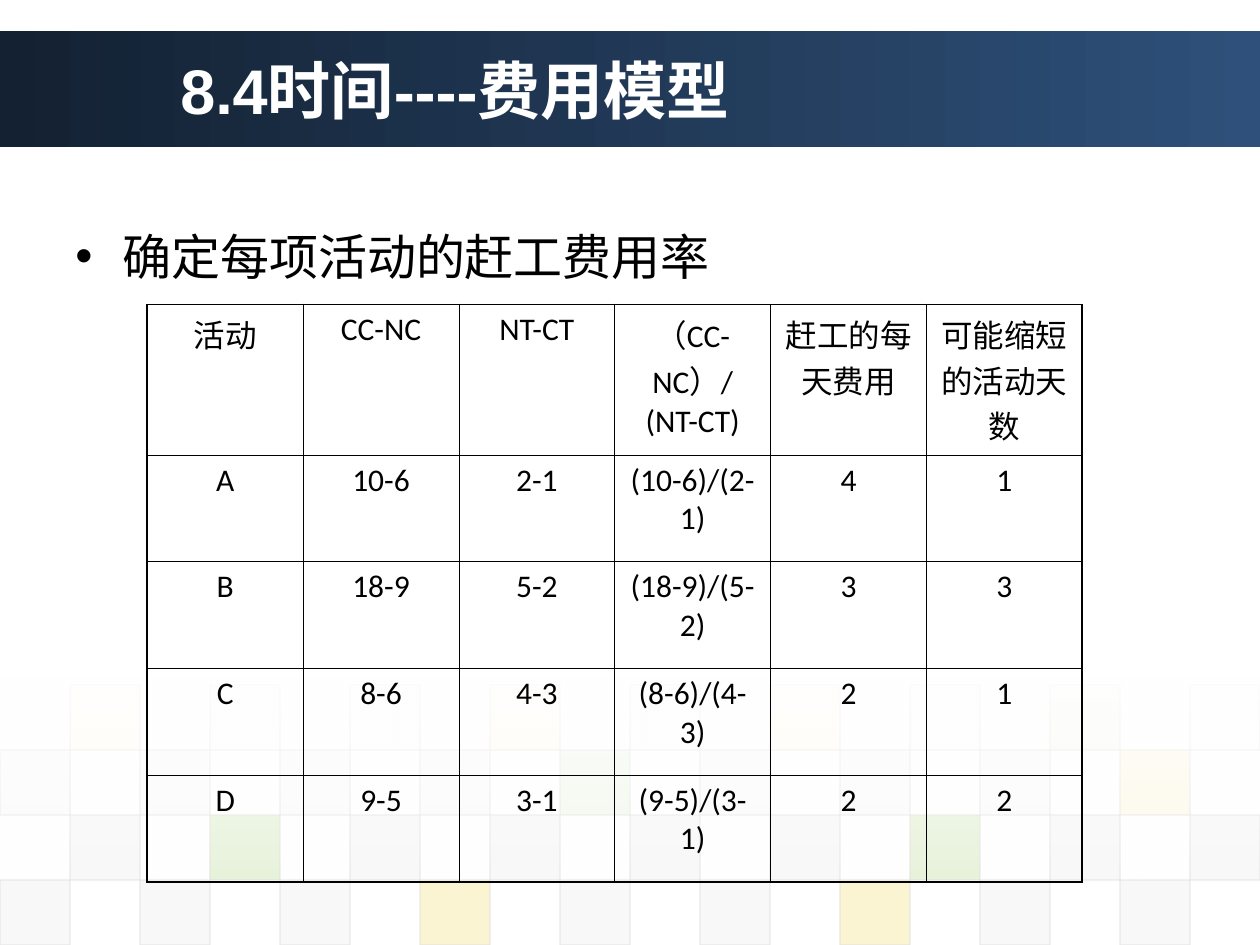
from dataclasses import dataclass

import lxml.etree
import pptx
import pptx.dml.color
import pptx.enum.shapes
import pptx.enum.text
import pptx.oxml.ns
import pptx.util

Cm = pptx.util.Cm
ALIGN = pptx.enum.text.PP_ALIGN
ANCHOR = pptx.enum.text.MSO_ANCHOR


@dataclass(frozen=True)
class Theme:
    band_start: str = "132132"
    band_end: str = "2E507A"
    white: str = "FFFFFF"
    black: str = "000000"
    gray: str = "DDDDDD"
    pale: str = "EAEAEA"
    green: str = "8AC246"
    yellow: str = "EFC821"
    title_font: str = "Arial"
    body_font: str = "Calibri"
    title_size: int = 36
    body_size: int = 28
    cell_size: int = 18
    tile_line: float = 0.75
    inner_line: float = 0.45
    outer_line: float = 1.08


THEME = Theme()

# One letter per tile; rows alternate between odd and even columns.
TILE_COLORS = {"D": THEME.gray, "E": THEME.pale, "G": THEME.green, "Y": THEME.yellow}
TILE_ROWS = [("YEEYDYEGE", 5), ("DDDDGDDDY", 10), ("DGDDDDGDD", 20), ("DDDYDDYDD", 20)]

COST_ROWS = [
    ["活动", "CC-NC", "NT-CT", "（CC-NC）/(NT-CT)", "赶工的每天费用", "可能缩短的活动天数"],
    ["A", "10-6", "2-1", "(10-6)/(2-1)", "4", "1"],
    ["B", "18-9", "5-2", "(18-9)/(5-2)", "3", "3"],
    ["C", "8-6", "4-3", "(8-6)/(4-3)", "2", "1"],
    ["D", "9-5", "3-1", "(9-5)/(3-1)", "2", "2"],
]


def rgb(color):
    return pptx.dml.color.RGBColor.from_string(color)


def add_element(parent, tag, **attributes):
    element = lxml.etree.SubElement(parent, pptx.oxml.ns.qn(tag))
    for name, value in attributes.items():
        element.set(name, str(value))
    return element


def set_opacity(element, percents):
    """Give each colour below element its opacity, in order."""
    colors = element.findall(".//" + pptx.oxml.ns.qn("a:srgbClr"))
    for color, percent in zip(colors, percents):
        add_element(color, "a:alpha", val=percent * 1000)


def write_text(frame, text, *, size, font=THEME.body_font, color=THEME.black,
               bold=False, align=ALIGN.LEFT, bullet=None, indent=0):
    frame.word_wrap = True
    paragraph = frame.paragraphs[0]
    paragraph.alignment = align
    if bullet:
        properties = paragraph._p.get_or_add_pPr()
        properties.set("marL", str(Cm(indent)))
        properties.set("indent", str(-Cm(indent)))
        add_element(add_element(properties, "a:buClr"), "a:srgbClr", val=color)
        add_element(properties, "a:buFont", typeface=THEME.title_font)
        add_element(properties, "a:buChar", char=bullet)
    run = paragraph.add_run()
    run.text = text
    run.font.size = pptx.util.Pt(size)
    run.font.name = font
    run.font.bold = bold
    run.font.color.rgb = rgb(color)


def add_rectangle(slide, left, top, width, height):
    shape = slide.shapes.add_shape(pptx.enum.shapes.MSO_SHAPE.RECTANGLE,
                                   Cm(left), Cm(top), Cm(width), Cm(height))
    shape.shadow.inherit = False
    shape.line.fill.background()
    return shape


def fill_gradient(shape, start, end, angle):
    shape.fill.gradient()
    shape.fill.gradient_angle = angle
    for stop, color in zip(shape.fill.gradient_stops, (start, end)):
        stop.color.rgb = rgb(color)


def add_mosaic(slide, left, top, width, height):
    """Checkerboard of pale tiles that fades out towards its top."""
    tile_width, tile_height = width / 18, height / len(TILE_ROWS)
    for row, (letters, opacity) in enumerate(TILE_ROWS):
        for index, letter in enumerate(letters):
            column = 2 * index + (row + 1) % 2
            tile = add_rectangle(slide, left + column * tile_width, top + row * tile_height,
                                 tile_width, tile_height)
            tile.fill.solid()
            tile.fill.fore_color.rgb = rgb(TILE_COLORS[letter])
            tile.line.color.rgb = rgb(THEME.gray)
            tile.line.width = pptx.util.Pt(THEME.tile_line)
            set_opacity(tile._element.spPr, [opacity, 60])
    veil = add_rectangle(slide, left, top - 0.17, width, 4.11)
    fill_gradient(veil, THEME.white, THEME.white, 270)
    set_opacity(veil._element.spPr, [90, 0])


def add_title_band(slide, left, top, width, height):
    band = add_rectangle(slide, left, top, width, height)
    fill_gradient(band, THEME.band_start, THEME.band_end, 0)
    title = slide.shapes.title
    slide.shapes._spTree.append(title._element)  # bring in front of the band
    title.left, title.top = Cm(left + 3.38), Cm(top)
    title.width, title.height = Cm(20.52), Cm(height)
    title.text_frame.vertical_anchor = ANCHOR.MIDDLE
    write_text(title.text_frame, "8.4时间----费用模型", size=THEME.title_size,
               font=THEME.title_font, color=THEME.white, bold=True)


def add_statement(slide, left, top, width, height):
    box = slide.shapes.add_textbox(Cm(left), Cm(top), Cm(width), Cm(height))
    write_text(box.text_frame, "确定每项活动的赶工费用率", size=THEME.body_size,
               bullet="•", indent=0.95)


def set_borders(cell, outer_sides):
    properties = cell._tc.get_or_add_tcPr()
    for position, side in enumerate("LRTB"):
        points = THEME.outer_line if side in outer_sides else THEME.inner_line
        line = add_element(properties, "a:ln" + side, w=int(pptx.util.Pt(points)))
        add_element(add_element(line, "a:solidFill"), "a:srgbClr", val=THEME.black)
        properties.insert(position, line)  # borders come before the fill


def add_cost_table(slide, left, top, width, height, header_height=3.03):
    """Activity table whose header row has room for three wrapped lines."""
    last_row, last_column = len(COST_ROWS) - 1, len(COST_ROWS[0]) - 1
    table = slide.shapes.add_table(last_row + 1, last_column + 1, Cm(left), Cm(top),
                                   Cm(width), Cm(height)).table
    table.first_row = table.horz_banding = False
    for row, texts in enumerate(COST_ROWS):
        table.rows[row].height = Cm((height - header_height) / last_row if row else header_height)
        for column, text in enumerate(texts):
            cell = table.cell(row, column)
            cell.fill.background()
            edges = {"L": column == 0, "R": column == last_column,
                     "T": row == 0, "B": row == last_row}
            set_borders(cell, [side for side, is_outer in edges.items() if is_outer])
            write_text(cell.text_frame, text, size=THEME.cell_size, align=ALIGN.CENTER)


def main():
    presentation = pptx.Presentation()
    presentation.slide_width, presentation.slide_height = Cm(25.4), Cm(19.05)
    slide = presentation.slides.add_slide(presentation.slide_layouts[5])
    slide.background.fill.solid()
    slide.background.fill.fore_color.rgb = rgb(THEME.white)
    add_mosaic(slide, 0, 13.81, 25.4, 5.24)
    add_title_band(slide, 0, 0.63, 25.4, 2.34)
    add_statement(slide, 1.27, 4.44, 22.63, 2.57)
    add_cost_table(slide, 2.97, 6.14, 18.85, 11.64)
    presentation.save("out.pptx")


if __name__ == "__main__":
    main()
